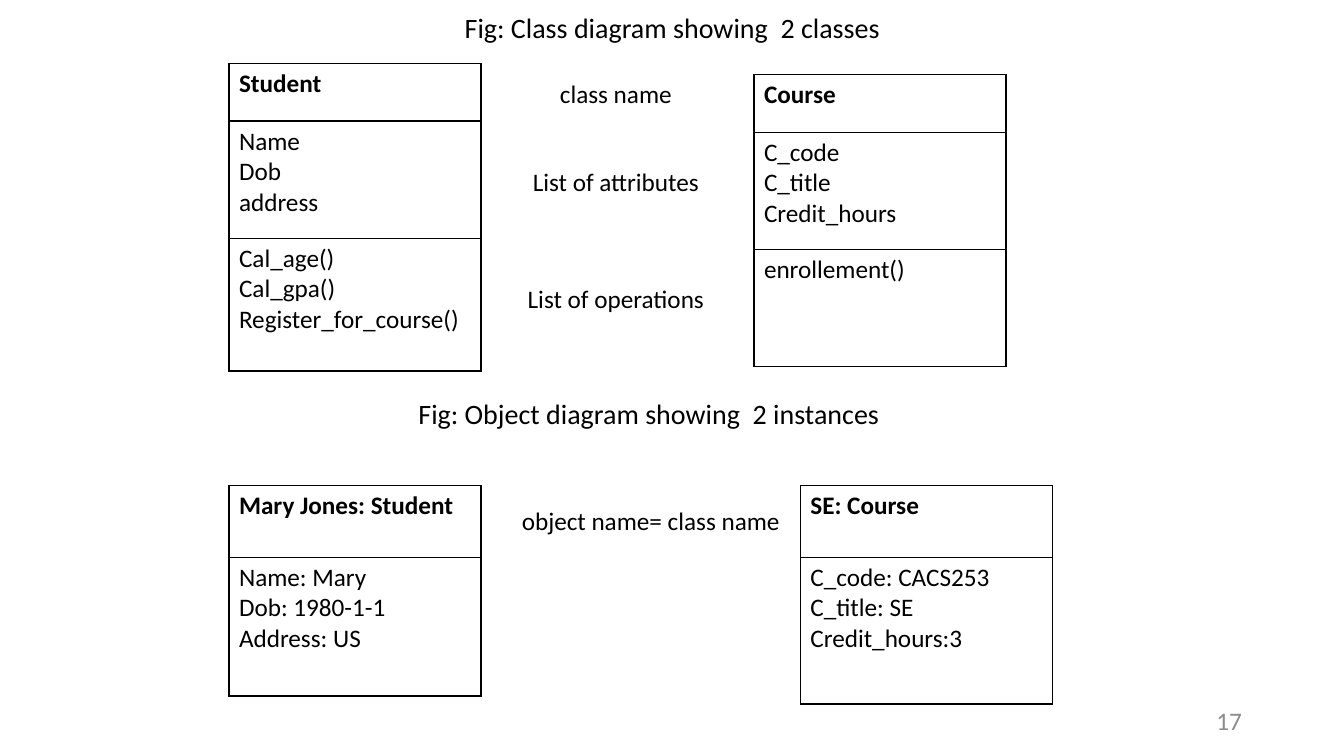
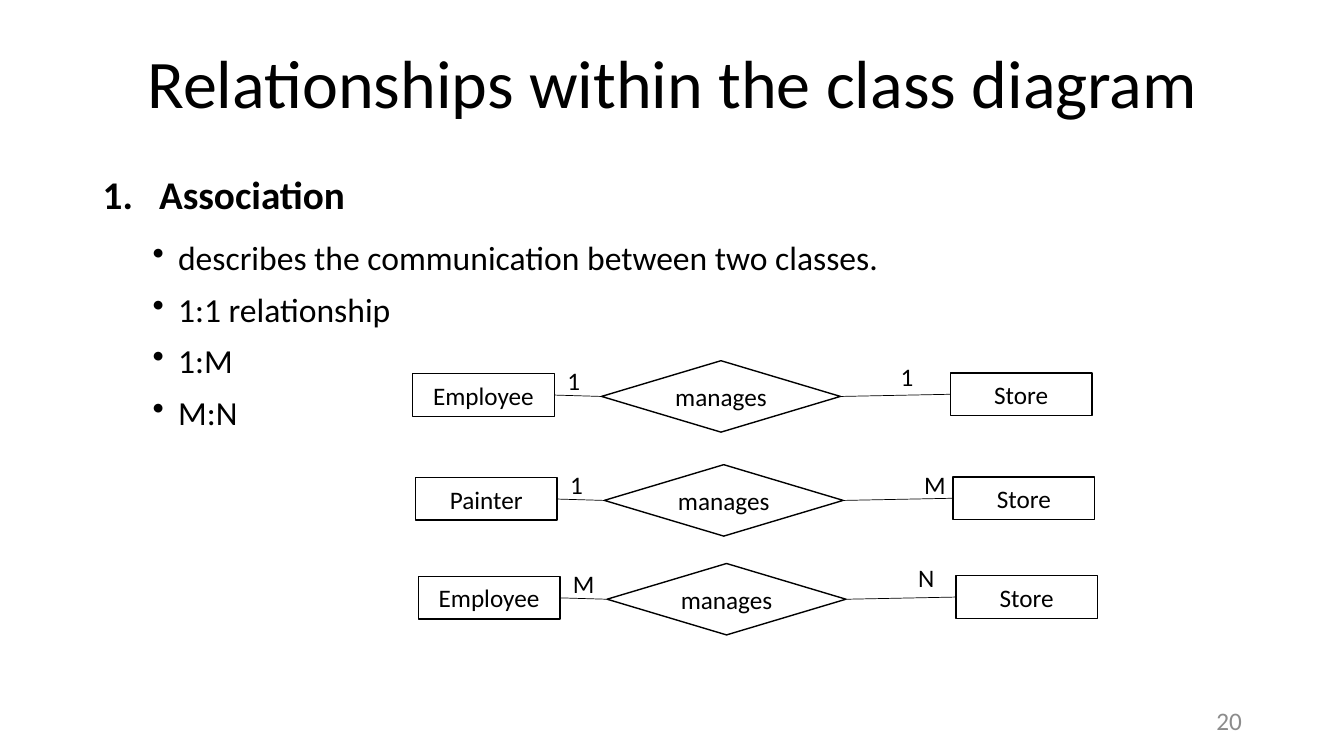
"""Build two slides on class diagrams, object diagrams and associations."""
from lxml import etree
from pptx import Presentation
from pptx.dml.color import RGBColor
from pptx.enum.shapes import MSO_CONNECTOR, MSO_SHAPE
from pptx.enum.text import MSO_ANCHOR, PP_ALIGN
from pptx.oxml import parse_xml
from pptx.oxml.ns import nsdecls, qn
from pptx.util import Cm, Pt

LEFT, CENTER, RIGHT, JUSTIFY = PP_ALIGN.LEFT, PP_ALIGN.CENTER, PP_ALIGN.RIGHT, PP_ALIGN.JUSTIFY
TOP, MIDDLE = MSO_ANCHOR.TOP, MSO_ANCHOR.MIDDLE
RECTANGLE, DECISION = MSO_SHAPE.RECTANGLE, MSO_SHAPE.FLOWCHART_DECISION
STRAIGHT = MSO_CONNECTOR.STRAIGHT
LEFT_SITE, RIGHT_SITE = 1, 3

FONT = "Calibri"
BLACK, WHITE, GRAY = "000000", "FFFFFF", "8C8C8C"
BODY_SIZE, CAPTION_SIZE, TITLE_SIZE = 18, 20, 48.6
TITLE_LEFT, TITLE_WIDTH = 2.34, 29.21


def write(frame, lines, size=BODY_SIZE, align=LEFT, bold=False, color=BLACK, spacing=None):
    """Fill a text frame with one paragraph for each line."""
    frame.text = "\n".join(lines)
    for para in frame.paragraphs:
        para.alignment = align
        para.line_spacing = spacing
        para.font.name = FONT
        para.font.size = Pt(size)
        para.font.bold = bold
        para.font.color.rgb = RGBColor.from_string(color)


def add_text(page, place, lines, anchor=TOP, **style):
    """Add a wrapping text box at left, top, width, height in centimetres."""
    box = page.shapes.add_textbox(*map(Cm, place))
    box.text_frame.word_wrap = True
    box.text_frame.vertical_anchor = anchor
    write(box.text_frame, lines, **style)
    return box


deck = Presentation()
deck.slide_width, deck.slide_height = Cm(33.87), Cm(19.05)
blank = deck.slide_layouts[6]
diagram_page, relation_page = [deck.slides.add_slide(blank) for _ in range(2)]

for page, left, top, height, size, title in (
    (diagram_page, TITLE_LEFT, 0.03, 1.42, CAPTION_SIZE, "Fig: Class diagram showing  2 classes"),
    (diagram_page, 1.75, 9.75, 1.42, CAPTION_SIZE, "Fig: Object diagram showing  2 instances"),
    (relation_page, TITLE_LEFT, 0.33, 3.68, TITLE_SIZE, "Relationships within the class diagram"),
):
    add_text(page, (left, top, TITLE_WIDTH, height), [title], MIDDLE,
             size=size, align=CENTER, spacing=0.9)

for page, number in ((diagram_page, "17"), (relation_page, "20")):
    add_text(page, (23.93, 17.65, 7.62, 1.02), [number], MIDDLE, align=RIGHT, color=GRAY)

class_tables = (
    (5.77, 1.6, (1.45, 2.95, 3.35), (
        ["Student"],
        ["Name", "Dob", "address"],
        ["Cal_age()", "Cal_gpa()", "Register_for_course()"])),
    (19, 1.88, (1.45, 2.95, 2.95), (
        ["Course"],
        ["C_code", "C_title", "Credit_hours"],
        ["enrollement()"])),
    (5.77, 12.24, (1.8, 3.5), (
        ["Mary Jones: Student"],
        ["Name: Mary", "Dob: 1980-1-1", "Address: US"])),
    (20.17, 12.24, (1.8, 3.7), (
        ["SE: Course"],
        ["C_code: CACS253", "C_title: SE", "Credit_hours:3"])),
)
label_table = (12.93, 1.88, (1.45, 2.95, 2.95), (
    ["class name"], ["List of attributes"], ["List of operations"]))

for left, top, heights, sections in (*class_tables, label_table):
    is_label = sections is label_table[3]
    width = 5.18 if is_label else 6.35
    table = diagram_page.shapes.add_table(
        len(heights), 1, Cm(left), Cm(top), Cm(width), Cm(sum(heights))).table
    table.first_row = table.horz_banding = False
    for index, (height, lines) in enumerate(zip(heights, sections)):
        table.rows[index].height = Cm(height)
        cell = table.cell(index, 0)
        if is_label:
            write(cell.text_frame, lines, align=CENTER)
            if index:
                cell.margin_top = Cm(0.9)
        else:
            write(cell.text_frame, lines, bold=index == 0)
            properties = cell._tc.get_or_add_tcPr()
            for side in ("lnL", "lnR", "lnT", "lnB"):
                properties.append(parse_xml(
                    f'<a:{side} {nsdecls("a")} w="12700"><a:solidFill>'
                    f'<a:srgbClr val="{BLACK}"/></a:solidFill></a:{side}>'))
        cell.fill.solid()
        cell.fill.fore_color.rgb = RGBColor.from_string(WHITE)

add_text(diagram_page, (12.9, 12.62, 8.2, 1.8), ["object name= class name"])

body = add_text(
    relation_page, (TITLE_LEFT, 4.29, TITLE_WIDTH, 13),
    ["Association", "describes the communication between two classes.",
     "1:1 relationship", "1:M", "M:N"],
    size=24, align=JUSTIFY, spacing=0.9)
for index, para in enumerate(body.text_frame.paragraphs):
    is_heading = index == 0
    para.space_before, para.space_after = (Pt(10), Pt(12)) if is_heading else (Pt(5), Pt(6))
    margin, hanging = (1.42, 1.42) if is_heading else (1.9, 0.64)
    properties = para._p.get_or_add_pPr()
    properties.set("marL", str(Cm(margin)))
    properties.set("indent", str(-Cm(hanging)))
    if is_heading:
        para.font.size, para.font.bold = Pt(28), True
        bullet = etree.Element(qn("a:buAutoNum"), type="arabicPeriod")
    else:
        para.level = 1
        bullet = etree.Element(qn("a:buChar"), char="•")
    properties.find(qn("a:defRPr")).addprevious(bullet)

relations = (
    (9.09, "Employee", "1", "1", 22.45, 8.97),
    (11.71, "Painter", "1", "M", 23.04, 11.71),
    (14.2, "Employee", "M", "N", 22.89, 14.05),
)
for index, (top, owner, owner_count, store_count, count_left, count_top) in enumerate(relations):
    shift = 0.07 * index
    nodes = []
    for kind, name, left, drop, width, height in (
        (RECTANGLE, owner, 10.4, 0.33, 3.57, 1.07),
        (DECISION, "manages", 15.16, 0, 6.02, 1.8),
        (RECTANGLE, "Store", 23.95, 0.31, 3.57, 1.07),
    ):
        node = relation_page.shapes.add_shape(
            kind, Cm(left + shift), Cm(top + drop), Cm(width), Cm(height))
        node.shadow.inherit = False
        node.fill.solid()
        node.fill.fore_color.rgb = RGBColor.from_string(WHITE)
        node.line.color.rgb = RGBColor.from_string(BLACK)
        node.line.width = Pt(1)
        node.text_frame.vertical_anchor = MIDDLE
        write(node.text_frame, [name], align=CENTER)
        nodes.append(node)
    for start, end in zip(nodes, nodes[1:]):
        link = relation_page.shapes.add_connector(STRAIGHT, 0, 0, 0, 0)
        link.begin_connect(start, RIGHT_SITE)
        link.end_connect(end, LEFT_SITE)
        link.line.color.rgb = RGBColor.from_string(BLACK)
        link.line.width = Pt(0.5)
        etree.SubElement(link._element.spPr, qn("a:effectLst"))
    add_text(relation_page, (14.05 + shift, top, 1.2, 1.02), [owner_count])
    add_text(relation_page, (count_left, count_top, 1.2, 1.02), [store_count])

deck.save("out.pptx")
